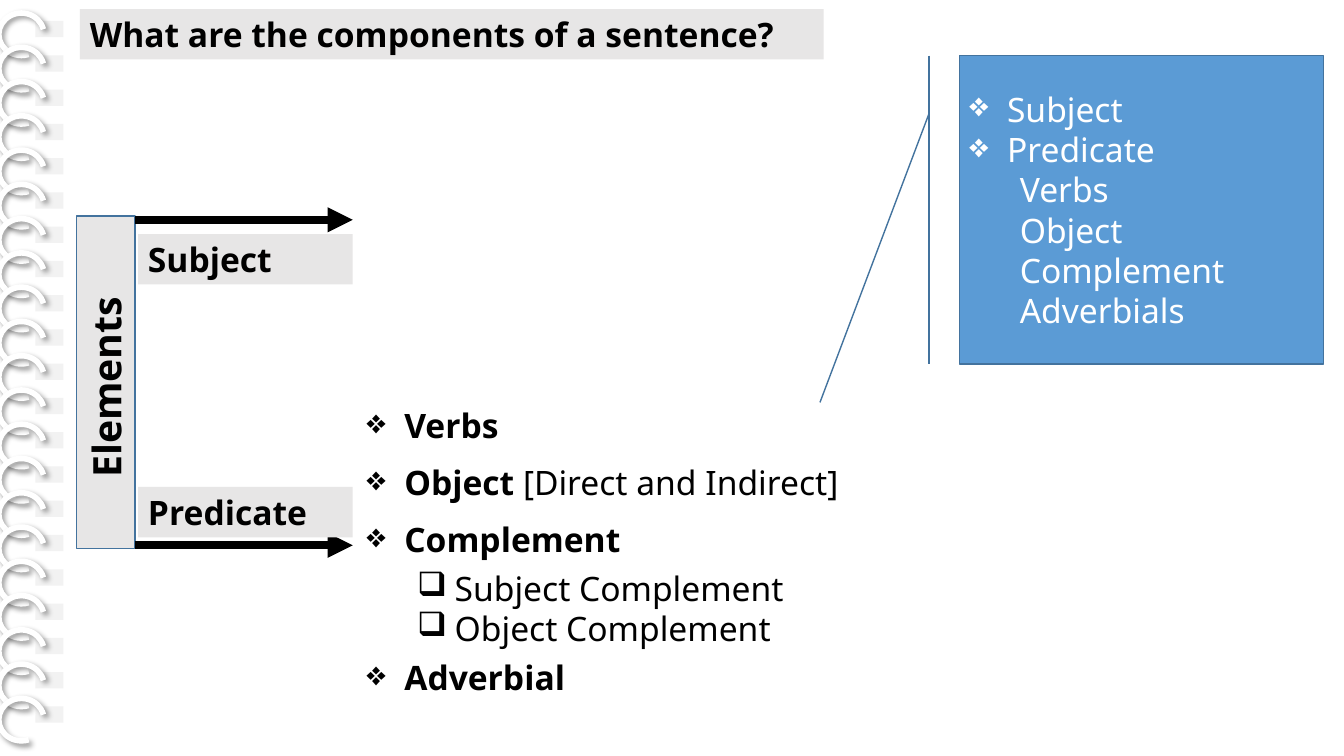
from dataclasses import dataclass

from lxml.etree import SubElement
from pptx import Presentation
from pptx.dml.color import RGBColor
from pptx.enum.shapes import MSO_CONNECTOR, MSO_SHAPE as Preset
from pptx.enum.text import MSO_ANCHOR as Anchor, MSO_AUTO_SIZE as AutoSize, PP_ALIGN as Align
from pptx.oxml.ns import qn
from pptx.util import Cm, Pt


@dataclass(frozen=True)
class Theme:
    font: str = "Noto Sans"
    body: int = 24
    large: int = 28
    ink: str = "000000"
    white: str = "FFFFFF"
    panel: str = "E7E6E6"
    hole: str = "F2F2F2"
    accent: str = "5B9BD5"
    edge: str = "43739E"


THEME = Theme()
DIAMOND, SQUARE = "❖", "❑"
HANG = 0.95


def color(code):
    return RGBColor.from_string(code)


def add_box(parent, preset, box, fill=None, line=None, weight=1):
    shape = parent.shapes.add_shape(preset, *map(Cm, box))
    shape.shadow.inherit = False
    if fill:
        shape.fill.solid()
        shape.fill.fore_color.rgb = color(fill)
    else:
        shape.fill.background()
    if line:
        shape.line.color.rgb = color(line)
        shape.line.width = Pt(weight)
    else:
        shape.line.fill.background()
    return shape


def style(para, ink=THEME.ink, size=THEME.body, bold=False, align=Align.LEFT):
    para.alignment = align
    font = para.font
    font.name, font.size, font.bold = THEME.font, Pt(size), bold
    font.color.rgb = color(ink)


def indent(para, left, bullet=None):
    """Indent a paragraph by left cm, hanging it when it has a bullet."""
    props = para._p.get_or_add_pPr()
    props.set("marL", str(Cm(left)))
    props.set("indent", str(Cm(-HANG) if bullet else 0))
    if bullet:
        SubElement(props, qn("a:buChar"), char=bullet)
    else:
        SubElement(props, qn("a:buNone"))


def add_para(frame, index):
    return frame.add_paragraph() if index else frame.paragraphs[0]


def add_title(page, box, text):
    title = page.shapes.title
    title.left, title.top, title.width, title.height = map(Cm, box)
    title.fill.solid()
    title.fill.fore_color.rgb = color(THEME.panel)
    frame = title.text_frame
    frame.text = text
    frame.word_wrap = True
    frame.auto_size = AutoSize.NONE
    frame.vertical_anchor = Anchor.MIDDLE
    style(frame.paragraphs[0], bold=True)


def add_shadow(shape):
    effects = shape._element.spPr.find(qn("a:effectLst"))
    shadow = SubElement(effects, qn("a:outerShdw"), blurRad=str(Pt(4)), dist=str(Pt(3)),
                        dir="2700000", algn="tl", rotWithShape="0")
    tint = SubElement(shadow, qn("a:srgbClr"), val=THEME.ink)
    SubElement(tint, qn("a:alpha"), val="40000")


def add_binding(page, box, count=21):
    """Stack spiral rings, each with its punched hole, evenly down the box."""
    left, top, width, height = box
    ring_width, ring_height, hole_width, hole_height = 1.14, 1.07, 0.71, 0.41
    pitch = (height - ring_height) / (count - 1)
    for index in range(count):
        ring_top = top + index * pitch
        group = page.shapes.add_group_shape()
        add_box(group, Preset.RECTANGLE,
                (left + width - hole_width, ring_top + 0.2, hole_width, hole_height), THEME.hole)
        ring = add_box(group, Preset.ARC, (left, ring_top, ring_width, ring_height),
                       line=THEME.white, weight=4)
        ring.adjustments[0], ring.adjustments[1] = 42.07, 208.26
        add_shadow(ring)


def add_arrow(parent, left, right, y):
    arrow = parent.shapes.add_connector(MSO_CONNECTOR.STRAIGHT, Cm(left), Cm(y), Cm(right), Cm(y))
    arrow.line.color.rgb = color(THEME.ink)
    arrow.line.width = Pt(6)
    SubElement(arrow.line._get_or_add_ln(), qn("a:tailEnd"), type="triangle")
    SubElement(arrow._element.spPr, qn("a:effectLst"))


def add_label(parent, box, text):
    frame = add_box(parent, Preset.RECTANGLE, box, THEME.panel).text_frame
    frame.text = text
    frame.word_wrap = True
    frame.vertical_anchor = Anchor.MIDDLE
    style(frame.paragraphs[0], bold=True)


def add_elements(page, box):
    """Draw the upright bar with an arrow and a label for each element."""
    left, top, width, height = box
    bar_width, label_height, label_width = 1.47, 1.27, 5.41
    right, bottom = left + width, top + height
    group = page.shapes.add_group_shape()
    bar = add_box(group, Preset.FLOWCHART_PROCESS, (left, top, bar_width, height),
                  THEME.panel, THEME.edge)
    frame = bar.text_frame
    frame.text = "Elements "
    frame.vertical_anchor = Anchor.MIDDLE
    frame._txBody.bodyPr.set("vert", "vert270")
    style(frame.paragraphs[0], size=THEME.large, bold=True, align=Align.CENTER)
    for y in (top + 0.1, bottom - 0.08):
        add_arrow(group, left + bar_width, right, y)
    for text, y in (("Subject", top + 0.46), ("Predicate", bottom - 0.28 - label_height)):
        add_label(group, (right - label_width, y, label_width, label_height), text)


def add_predicate_parts(page, box):
    frame = page.shapes.add_textbox(*map(Cm, box)).text_frame
    frame.word_wrap = True
    parts = (("Verbs", "", 0), ("Object", " [Direct and Indirect]", 0), ("Complement", "", 0),
             ("", "Subject Complement", 1), ("", "Object Complement", 1), ("Adverbial", "", 0))
    for index, (term, detail, level) in enumerate(parts):
        para = add_para(frame, index)
        para.level = level
        if level == 0:
            para.space_before = Pt(6 if index else 0)
            para.space_after = Pt(6)
        indent(para, HANG + 1.27 * level, SQUARE if level else DIAMOND)
        style(para, bold=bool(term))
        for text in filter(None, (term, detail)):
            span = para.add_run()
            span.text = text
            if term and text == detail:
                span.font.bold = False


def add_callout(page, box):
    callout = add_box(page, Preset.LINE_CALLOUT_1_BORDER_AND_ACCENT_BAR, box,
                      THEME.accent, THEME.edge)
    frame = callout.text_frame
    frame.word_wrap = True
    frame.vertical_anchor = Anchor.MIDDLE
    lines = (("Subject", 0), ("Predicate", 0), ("Verbs", 1), ("Object", 1),
             ("Complement", 1), ("Adverbials", 1))
    for index, (text, level) in enumerate(lines):
        para = add_para(frame, index)
        para.text = text
        para.level = level
        indent(para, 1.27 if level else HANG, None if level else DIAMOND)
        style(para, ink=THEME.white)


def main():
    deck = Presentation()
    deck.slide_width, deck.slide_height = Cm(33.87), Cm(19.05)
    page = deck.slides.add_slide(deck.slide_layouts[5])
    add_binding(page, (-0.03, 0.33, 1.63, 18.34))
    add_title(page, (2.01, 0.23, 18.75, 1.27), "What are the components of a sentence?")
    add_predicate_parts(page, (8.99, 10.08, 24.88, 7.7))
    add_elements(page, (1.93, 5.44, 6.96, 8.38))
    add_callout(page, (24.18, 1.4, 9.17, 7.77))
    deck.save("out.pptx")


if __name__ == "__main__":
    main()
